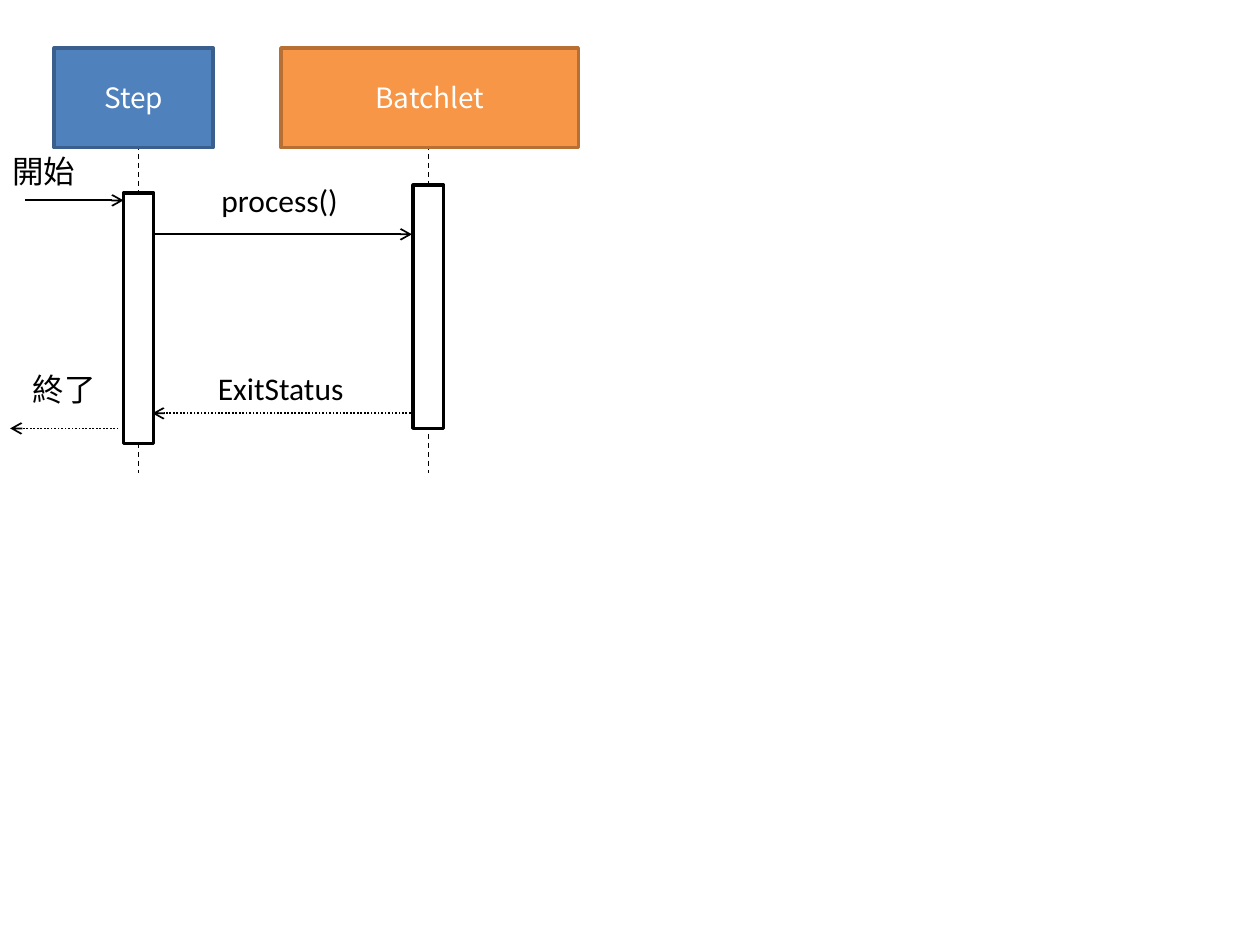
from lxml.etree import SubElement
from pptx import Presentation
from pptx.dml.color import RGBColor
from pptx.enum.dml import MSO_LINE_DASH_STYLE as Dash
from pptx.enum.shapes import MSO_CONNECTOR as Connector, MSO_SHAPE as Preset
from pptx.enum.text import MSO_ANCHOR as Anchor, MSO_AUTO_SIZE as AutoSize, PP_ALIGN as Align
from pptx.oxml.ns import qn
from pptx.util import Pt

BLACK = RGBColor(0x00, 0x00, 0x00)
WHITE = RGBColor(0xFF, 0xFF, 0xFF)
BLUE = RGBColor(0x4F, 0x81, 0xBD)
DARK_BLUE = RGBColor(0x3A, 0x5F, 0x8C)
ORANGE = RGBColor(0xF7, 0x96, 0x46)
DARK_ORANGE = RGBColor(0xB7, 0x6F, 0x34)


class SequenceDiagram:
    latin_font = "Calibri"
    japanese_font = "Noto Sans CJK JP"
    head_top, head_height = 27.4, 56.9
    lifeline_top, lifeline_bottom = 82.8, 270
    bar_width = 17.3
    label_height = 28.8

    def __init__(self, slide):
        self.shapes = slide.shapes.add_group_shape().shapes

    def style_text(self, text_frame, size, font_name, color):
        for run in text_frame.paragraphs[0].runs:
            run.font.size = Pt(size)
            run.font.name = font_name
            run.font.color.rgb = color
            east_asian = SubElement(run.font._element, qn("a:ea"))
            east_asian.set("typeface", self.japanese_font)

    def box(self, left, top, width, height, fill, outline):
        shape = self.shapes.add_shape(
            Preset.RECTANGLE, Pt(left), Pt(top), Pt(width), Pt(height))
        shape.shadow.inherit = False
        shape.fill.solid()
        shape.fill.fore_color.rgb = fill
        shape.line.color.rgb = outline
        shape.line.width = Pt(2)
        return shape

    def line(self, start, end, width, dash=None):
        connector = self.shapes.add_connector(
            Connector.STRAIGHT, *[Pt(value) for value in (*start, *end)])
        connector.line.color.rgb = BLACK
        connector.line.width = Pt(width)
        if dash is not None:
            connector.line.dash_style = dash
        SubElement(connector._element.spPr, qn("a:effectLst"))
        return connector

    def lifeline(self, center):
        self.line((center, self.lifeline_top), (center, self.lifeline_bottom), 0.75, Dash.DASH)

    def participant(self, name, left, width, fill, outline):
        shape = self.box(left, self.head_top, width, self.head_height, fill, outline)
        text_frame = shape.text_frame
        text_frame.text = name
        text_frame.vertical_anchor = Anchor.MIDDLE
        text_frame.paragraphs[0].alignment = Align.CENTER
        self.style_text(text_frame, 16, self.japanese_font, WHITE)

    def activation(self, center, top, height):
        self.box(center - self.bar_width / 2, top, self.bar_width, height, WHITE, BLACK)

    def message(self, start, end, y, dash=None):
        connector = self.line((start, y), (end, y), 1, dash)
        tail = SubElement(connector.line._get_or_add_ln(), qn("a:tailEnd"))
        tail.set("type", "arrow")

    def label(self, text, left, top, width):
        text_box = self.shapes.add_textbox(
            Pt(left), Pt(top), Pt(width), Pt(self.label_height))
        text_frame = text_box.text_frame
        text_frame.text = text
        text_frame.word_wrap = False
        text_frame.auto_size = AutoSize.SHAPE_TO_FIT_TEXT
        self.style_text(text_frame, 18, self.latin_font, BLACK)


def main():
    presentation = Presentation()
    presentation.slide_width = Pt(720)
    presentation.slide_height = Pt(540)
    slide = presentation.slides.add_slide(presentation.slide_layouts[6])
    diagram = SequenceDiagram(slide)

    step_center, batchlet_center = 79.2, 244.8
    for center in (batchlet_center, step_center):
        diagram.lifeline(center)

    diagram.participant("Step", 31, 90.7, BLUE, DARK_BLUE)
    diagram.participant("Batchlet", 160.6, 169.9, ORANGE, DARK_ORANGE)
    diagram.activation(step_center, 110.2, 143.3)
    diagram.activation(batchlet_center, 105.8, 139)

    for start, end, y, dash in (
        (87.8, 235.4, 133.9, None),
        (234.7, 87.1, 236.2, Dash.ROUND_DOT),
        (14.4, 70.6, 114.5, None),
        (67.7, 5.8, 244.8, Dash.ROUND_DOT),
    ):
        diagram.message(start, end, y, dash)

    for text, left, top, width in (
        ("process()", 119.5, 100.1, 82.1),
        ("ExitStatus", 117.4, 207.4, 87.1),
        ("終了", 11.5, 208.1, 51.1),
        ("開始", 0, 83.5, 51.1),
    ):
        diagram.label(text, left, top, width)

    presentation.save("out.pptx")


if __name__ == "__main__":
    main()
